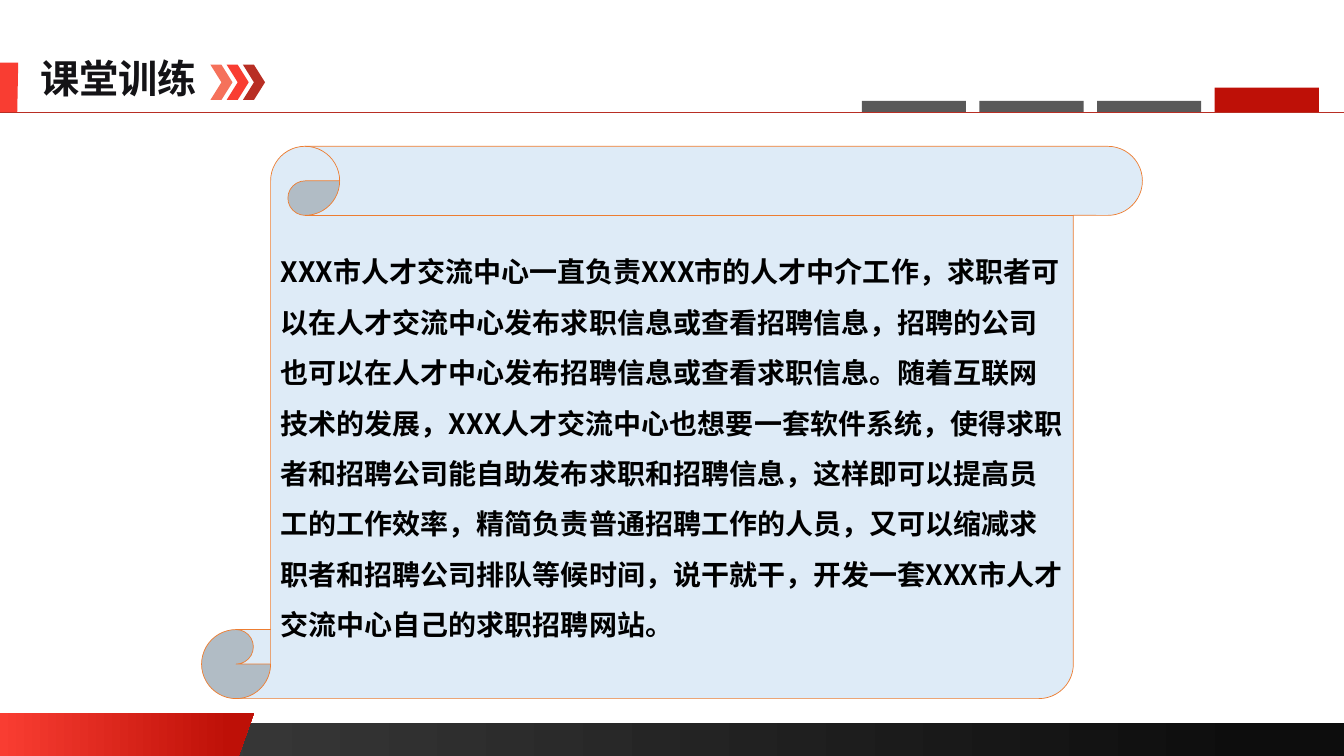
from lxml.etree import SubElement
from pptx import Presentation
from pptx.dml.color import RGBColor
from pptx.enum.shapes import MSO_CONNECTOR, MSO_SHAPE
from pptx.enum.text import MSO_ANCHOR, PP_ALIGN
from pptx.oxml.ns import qn
from pptx.util import Pt

FONT = "Noto Sans CJK SC"
WIDTH, HEIGHT = 960, 540
RULE_Y = 80
BODY = (
    "XXX市人才交流中心一直负责XXX市的人才中介工作，求职者可以在人才交流中心发布求职信息或查看招聘信息，"
    "招聘的公司也可以在人才中心发布招聘信息或查看求职信息。随着互联网技术的发展，"
    "XXX人才交流中心也想要一套软件系统，使得求职者和招聘公司能自助发布求职和招聘信息，"
    "这样即可以提高员工的工作效率，精简负责普通招聘工作的人员，又可以缩减求职者和招聘公司排队等候时间，"
    "说干就干，开发一套XXX市人才交流中心自己的求职招聘网站。"
)


def color(value):
    return RGBColor.from_string(value)


def paint(shape, fill, line=None):
    """Fill with one colour, or with a gradient given as (position, colour) stops."""
    shape.shadow.inherit = False
    if isinstance(fill, str):
        shape.fill.solid()
        shape.fill.fore_color.rgb = color(fill)
    else:
        shape.fill.gradient()
        shape.fill.gradient_angle = 0
        for stop, (position, value) in zip(shape.fill.gradient_stops, fill):
            stop.position = position
            stop.color.rgb = color(value)
    if line:
        shape.line.color.rgb = color(line)
        shape.line.width = Pt(0.5)
    else:
        shape.line.fill.background()


def add_preset(slide, kind, left, top, width, height, fill, line=None):
    shape = slide.shapes.add_shape(kind, Pt(left), Pt(top), Pt(width), Pt(height))
    paint(shape, fill, line)
    return shape


def add_outline(slide, points, fill):
    start, *others = [(Pt(x), Pt(y)) for x, y in points]
    builder = slide.shapes.build_freeform(*start)
    builder.add_line_segments(others, close=True)
    paint(builder.convert_to_shape(), fill)


def add_rule(slide, y, line):
    rule = slide.shapes.add_connector(MSO_CONNECTOR.STRAIGHT, 0, Pt(y), Pt(WIDTH), Pt(y))
    rule.line.color.rgb = color(line)
    rule.line.width = Pt(0.5)
    SubElement(rule._element.spPr, qn("a:effectLst"))


def write(shape, text, size, fill, spacing=1.0, wrap=True, anchor=MSO_ANCHOR.TOP):
    frame = shape.text_frame
    frame.word_wrap = wrap
    frame.vertical_anchor = anchor
    paragraph = frame.paragraphs[0]
    paragraph.alignment = PP_ALIGN.LEFT
    paragraph.line_spacing = spacing
    run = paragraph.add_run()
    run.text = text
    run.font.size = Pt(size)
    run.font.bold = True
    run.font.name = FONT
    run.font.color.rgb = color(fill)
    SubElement(run.font._element, qn("a:ea"), typeface=FONT)


def add_footer(slide):
    add_preset(slide, MSO_SHAPE.RECTANGLE, 0, 516.5, WIDTH, 23.5,
               [(0, "404040"), (0.94, "0D0D0D")])
    add_outline(slide, [(0, 509), (181.5, 509), (170.5, HEIGHT), (0, HEIGHT)],
                [(0, "F93D32"), (0.91, "BE1007")])


def add_header(slide):
    add_outline(slide, [(0, 44.7), (13, 44.7), (12.3, 80.5), (0, 80.5)], "F93D32")
    add_rule(slide, RULE_Y, "B82E24")
    for index, fill in enumerate(["F5715B", "F93D32", "B82E24"]):
        add_preset(slide, MSO_SHAPE.CHEVRON, 150.3 + 11.6 * index, 46.2, 15.8, 25.2, fill)
    tabs = [(8, "595959")] * 3 + [(17.3, "BE1007")]
    for index, (height, fill) in enumerate(tabs):
        add_preset(slide, MSO_SHAPE.RECTANGLE, 615.6 + 84 * index, RULE_Y - height,
                   74.4, height, fill)
    title = slide.shapes.add_textbox(Pt(21.6), Pt(35.3), Pt(127.4), Pt(41))
    write(title, "课堂训练", 28, "141316", wrap=False)


def main():
    presentation = Presentation()
    presentation.slide_width, presentation.slide_height = Pt(WIDTH), Pt(HEIGHT)
    slide = presentation.slides.add_slide(presentation.slide_layouts[6])
    add_footer(slide)
    scroll = add_preset(slide, MSO_SHAPE.VERTICAL_SCROLL, 144, 104.5, 672, 394.5,
                        "DEEBF7", "ED7D31")
    write(scroll, BODY, 20, "000000", spacing=1.5, anchor=MSO_ANCHOR.MIDDLE)
    add_header(slide)
    presentation.save("out.pptx")


if __name__ == "__main__":
    main()
